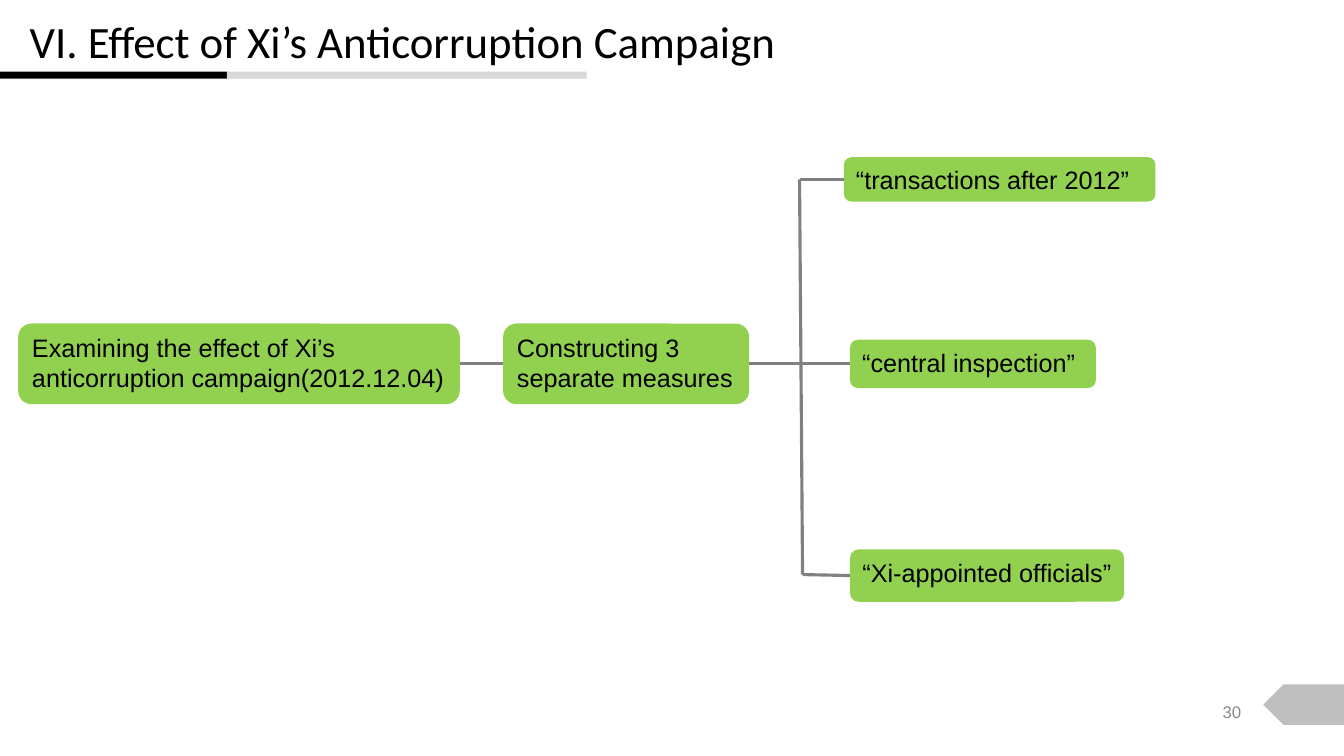
from lxml import etree
from pptx import Presentation
from pptx.dml.color import RGBColor
from pptx.enum import shapes, text
from pptx.oxml.ns import qn
from pptx.util import Inches, Pt

TITLE = "VI. Effect of Xi’s Anticorruption Campaign"
PAGE = "30"
BLACK, GREEN, GREY = "000000", "92D050", "808080"
RECT = shapes.MSO_SHAPE.RECTANGLE
ROUND = shapes.MSO_SHAPE.ROUNDED_RECTANGLE
TAG = shapes.MSO_SHAPE.PENTAGON
LEFT, RIGHT = 1, 3  # connection sites

# name: (text, (left, top, width, height))
BOXES = {
    "question": ("Examining the effect of Xi’s anticorruption campaign(2012.12.04)",
                 (0.18, 3.21, 4.38, 0.8)),
    "measures": ("Constructing 3 separate measures", (4.99, 3.21, 2.44, 0.8)),
    "after": ("“transactions after 2012”", (8.37, 1.56, 3.09, 0.44)),
    "inspection": ("“central inspection”", (8.43, 3.37, 2.44, 0.48)),
    "appointed": ("“Xi-appointed officials”", (8.43, 5.45, 2.72, 0.52)),
}
TRUNK_TOP, TRUNK_END = (7.93, 1.78), (7.96, 5.7)
# each end is a point or a (box, connection site) pair
LINKS = [
    (("question", RIGHT), ("measures", LEFT)),
    (("measures", RIGHT), ("inspection", LEFT)),
    (TRUNK_TOP, TRUNK_END),
    (TRUNK_TOP, ("after", LEFT)),
    (TRUNK_END, ("appointed", LEFT)),
]


def color(hex_code):
    return RGBColor.from_string(hex_code)


def add_block(kind, at, fill):
    s = slide.shapes.add_shape(kind, *map(Inches, at))
    s.shadow.inherit = False
    s.fill.solid()
    s.fill.fore_color.rgb = color(fill)
    s.line.fill.background()
    return s


def write(s, words, size, font, hex_code, align, anchor):
    tf = s.text_frame
    tf.word_wrap = True
    tf.vertical_anchor = anchor
    tf.text = words
    p = tf.paragraphs[0]
    p.alignment = align
    r = p.runs[0]
    r.font.size, r.font.name = Pt(size), font
    r.font.color.rgb = color(hex_code)
    return p


def add_text(at, *style):
    return write(slide.shapes.add_textbox(*map(Inches, at)), *style)


def add_link(start, end):
    c = slide.shapes.add_connector(shapes.MSO_CONNECTOR.STRAIGHT, 0, 0, 0, 0)
    if start[0] in boxes:
        c.begin_connect(boxes[start[0]], start[1])
    else:
        c.begin_x, c.begin_y = map(Inches, start)
    if end[0] in boxes:
        c.end_connect(boxes[end[0]], end[1])
    else:
        c.end_x, c.end_y = map(Inches, end)
    c.line.color.rgb = color(GREY)
    c.line.width = Pt(2.25)
    etree.SubElement(c._element.spPr, qn("a:effectLst"))


prs = Presentation()
prs.slide_width, prs.slide_height = Inches(13.33), Inches(7.5)
slide = prs.slides.add_slide(prs.slide_layouts[6])

title = add_text((0, 0.29, 7.99, 0.44), TITLE, 32, "Calibri", BLACK,
                 text.PP_ALIGN.CENTER, text.MSO_ANCHOR.BOTTOM)
title.line_spacing = 0.9
add_block(RECT, (0, 0.71, 2.25, 0.07), BLACK)
add_block(RECT, (2.25, 0.71, 3.57, 0.07), "D8D8D8")
tag = add_block(TAG, (12.53, 6.79, 0.8, 0.4), "BFBFBF")
tag.rotation = 180

boxes = {}
for name, (words, at) in BOXES.items():
    boxes[name] = add_block(ROUND, at, GREEN)
    write(boxes[name], words, 18, "Arial", BLACK,
          text.PP_ALIGN.LEFT, text.MSO_ANCHOR.TOP)
    boxes[name].text_frame.margin_right = Inches(0.05)
for start, end in LINKS:
    add_link(start, end)

add_text((9.41, 6.86, 3, 0.4), PAGE, 12, "Arial", "898989",
         text.PP_ALIGN.RIGHT, text.MSO_ANCHOR.MIDDLE)

prs.save("out.pptx")
